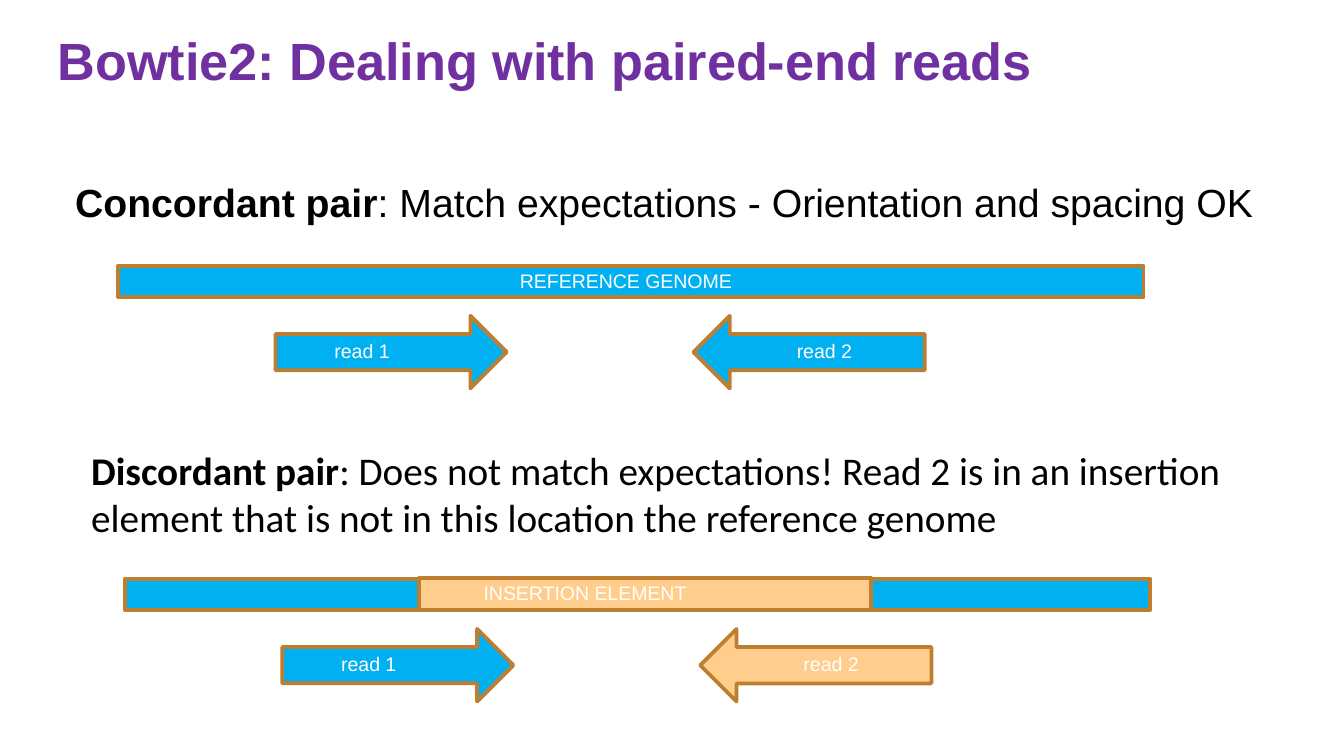
from pptx import Presentation
from pptx.dml.color import RGBColor
from pptx.enum.shapes import MSO_SHAPE
from pptx.enum.text import MSO_AUTO_SIZE
from pptx.util import Inches, Pt

RECT, ARROW = MSO_SHAPE.RECTANGLE, MSO_SHAPE.RIGHT_ARROW
GROW, FIXED = MSO_AUTO_SIZE.SHAPE_TO_FIT_TEXT, MSO_AUTO_SIZE.NONE
BLUE, ORANGE, EDGE = "00B0F0", "FFCD8C", "BD7F2F"
PURPLE, BLACK, WHITE = "7030A0", "000000", "FFFFFF"

TITLE = "Bowtie2: Dealing with paired-end reads"
HEADS = [
    ((0.46, 1.28, 8.98, 0.45), "Arial", "Concordant pair",
     ": Match expectations - Orientation and spacing OK"),
    ((0.58, 3.27, 8.73, 0.81), "Calibri", "Discordant pair",
     ": Does not match expectations! Read 2 is in an insertion element "
     "that is not in this location the reference genome"),
]
# Left and top of each genome bar, then the fill of its second read
PAIRS = [(0.88, 1.98, BLUE), (0.93, 4.31, ORANGE)]
# Name, arrow offset, label offset from the bar's left, rotation
READS = [("read 1", 1.17, 1.51, 0), ("read 2", 4.28, 4.95, 180)]


def rgb(code):
    return RGBColor.from_string(code)


def add_text(box, *runs, size=10.5, font="Arial", color=WHITE, wrap=False,
             pad=0.05, fit=GROW):
    """Add a text box; each run is a (text, bold) pair."""
    frame = slide.shapes.add_textbox(*map(Inches, box)).text_frame
    frame.word_wrap = wrap
    frame.auto_size = fit
    frame.margin_top = frame.margin_bottom = Inches(pad)
    for text, bold in runs:
        run = frame.paragraphs[0].add_run()
        run.text = text
        run.font.size, run.font.name = Pt(size), font
        run.font.bold = bold
        run.font.color.rgb = rgb(color)


def add_block(kind, box, fill, turn=0):
    block = slide.shapes.add_shape(kind, *map(Inches, box))
    block.shadow.inherit = False
    block.fill.solid()
    block.fill.fore_color.rgb = rgb(fill)
    block.line.color.rgb = rgb(EDGE)
    block.line.width = Pt(2)
    block.rotation = turn


def add_pair(left, top, last):
    """Draw a genome bar with its two facing reads below."""
    add_block(RECT, (left, top, 7.63, 0.23), BLUE)
    for (name, shift, inset, turn), fill in zip(READS, (BLUE, last)):
        add_block(ARROW, (left + shift, top + 0.37, 1.72, 0.54), fill, turn)
        add_text((left + inset, top + 0.49, 0.62, 0.28), (name, False))


deck = Presentation()
deck.slide_width = Inches(10)
deck.slide_height = deck.slide_width * 9 // 16
slide = deck.slides.add_slide(deck.slide_layouts[6])

add_text((0.33, 0.11, 8.98, 1.09), (TITLE, True), size=28, color=PURPLE,
         wrap=True, pad=0.1, fit=FIXED)
for box, font, term, rest in HEADS:
    add_text(box, (term, True), (rest, False), size=21, font=font,
             color=BLACK, wrap=True)
for pair in PAIRS:
    add_pair(*pair)
add_text((3.77, 1.95, 1.81, 0.28), ("REFERENCE GENOME", False))
add_block(RECT, (3.12, 4.3, 3.36, 0.24), ORANGE)
add_text((3.5, 4.27, 1.74, 0.28), ("INSERTION ELEMENT", False))

deck.save("out.pptx")
